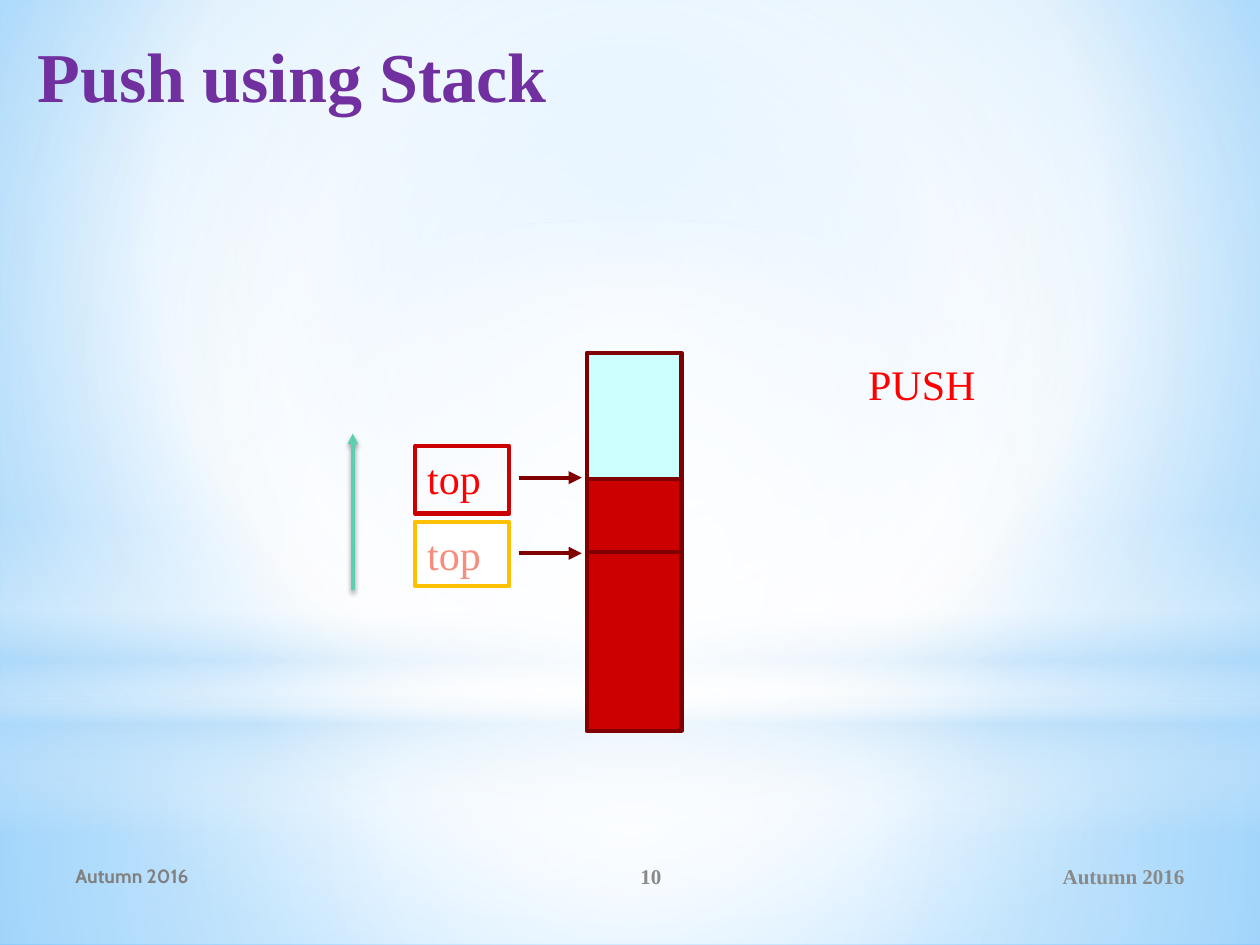
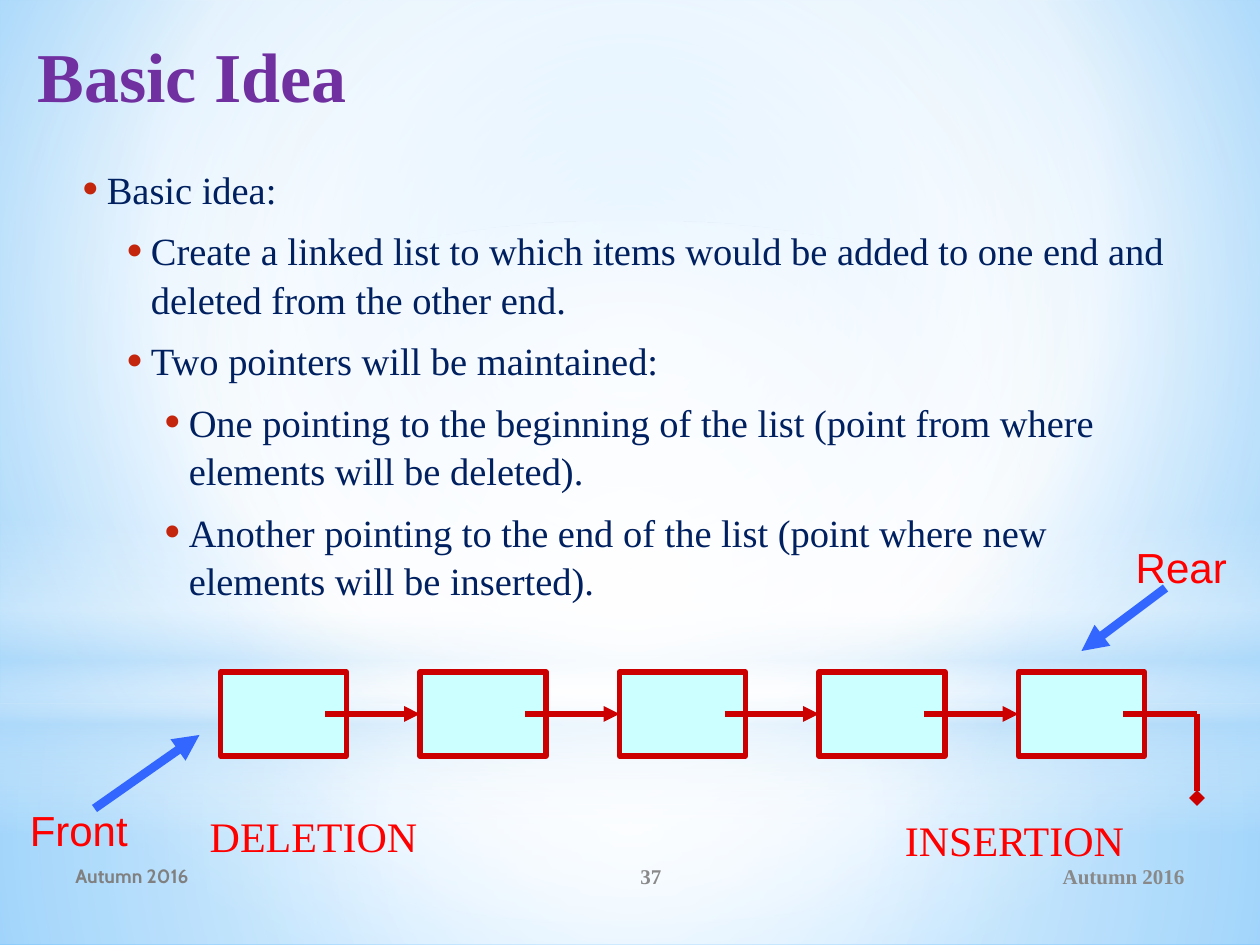
from dataclasses import dataclass
from typing import Any, NamedTuple, Optional

from lxml import etree
from pptx import Presentation
from pptx.dml.color import RGBColor
from pptx.enum.shapes import MSO_CONNECTOR, MSO_SHAPE
from pptx.enum.text import MSO_ANCHOR, PP_ALIGN
from pptx.oxml.ns import qn
from pptx.util import Pt

RECTANGLE = MSO_SHAPE.RECTANGLE
OVAL = MSO_SHAPE.OVAL
STRAIGHT = MSO_CONNECTOR.STRAIGHT
TOP, MIDDLE = MSO_ANCHOR.TOP, MSO_ANCHOR.MIDDLE
LEFT, CENTER, RIGHT = PP_ALIGN.LEFT, PP_ALIGN.CENTER, PP_ALIGN.RIGHT

EMU_PER_PX = 7620
SLIDE_WIDTH, SLIDE_HEIGHT = 1200, 900


class TextStyle(NamedTuple):
    font: str
    size: int
    color: str
    bold: bool = False


class Outline(NamedTuple):
    color: str
    width: float


class Stop(NamedTuple):
    position: int
    color: str
    opacity: int = 100


@dataclass(frozen=True)
class Theme:
    serif: str = "Times New Roman"
    red: str = "FF0000"
    cyan: str = "CCFFFF"
    crimson: str = "CC0000"
    white: str = "FFFFFF"
    sky: str = "B4DCFA"
    bullet: str = "C3260C"
    title: TextStyle = TextStyle(serif, 40, "7030A0", True)
    body: TextStyle = TextStyle(serif, 22, "002060")
    label: TextStyle = TextStyle(serif, 24, red)
    faded_label: TextStyle = TextStyle(serif, 24, "F78D7C")
    pointer_label: TextStyle = TextStyle("Arial", 24, red)
    footer: TextStyle = TextStyle(serif, 12, "898989", True)
    footer_left: TextStyle = TextStyle("Cabin", 11, "808080", True)
    stack_line: Outline = Outline("800000", 2.5)
    old_top_line: Outline = Outline("FFC000", 2.5)
    new_top_line: Outline = Outline(crimson, 2.5)
    growth_line: Outline = Outline("5DCEAF", 2)
    node_line: Outline = Outline(crimson, 3)
    pointer_line: Outline = Outline("3366FF", 5)


THEME = Theme()


class Area(NamedTuple):
    left: int
    top: int
    width: int
    height: int


class Point(NamedTuple):
    x: int
    y: int


class Band(NamedTuple):
    area: Area
    stops: list[Stop]
    preset: Any = RECTANGLE
    linear: bool = False


class Box(NamedTuple):
    area: Area
    fill: Optional[str]
    outline: Outline
    text: str = ""
    style: TextStyle = THEME.label


class Label(NamedTuple):
    area: Area
    text: str
    style: TextStyle = THEME.label
    align: Any = LEFT
    anchor: Any = TOP
    wrap: bool = True


class Line(NamedTuple):
    start: Point
    end: Point
    outline: Outline
    tail: str = "triangle"
    shadow: bool = False


class Bullet(NamedTuple):
    indent: int
    text: str


BACKGROUND = [Stop(0, "9ED5FF"), Stop(60, THEME.white), Stop(100, "5BB9FF")]
BANDS = [
    Band(Area(0, 670, 1200, 230),
         [Stop(0, THEME.white, 91), Stop(37, THEME.white, 76), Stop(100, THEME.sky, 79)]),
    Band(Area(0, 0, 1200, 670),
         [Stop(0, THEME.white, 89), Stop(48, THEME.white, 62), Stop(100, THEME.sky, 79)]),
    Band(Area(0, 494, 1200, 300),
         [Stop(0, THEME.white, 0), Stop(29, THEME.white, 30), Stop(45, THEME.sky, 40),
          Stop(55, THEME.white, 26), Stop(65, THEME.sky, 60), Stop(100, THEME.white, 0)],
         linear=True),
    Band(Area(0, 210, 1200, 670), [Stop(0, THEME.white), Stop(56, THEME.white, 0)], OVAL),
]
BULLETS = [
    Bullet(30, "Basic idea:"),
    Bullet(72, "Create a linked list to which items would be added to one end and deleted "
               "from the other end."),
    Bullet(72, "Two pointers will be maintained:"),
    Bullet(108, "One pointing to the beginning of the list (point from where elements will "
                "be deleted)."),
    Bullet(108, "Another pointing to the end of the list (point where new elements will be "
                "inserted)."),
]


def px(length: int) -> int:
    return length * EMU_PER_PX


def emu(lengths: tuple) -> list[int]:
    return [px(length) for length in lengths]


def set_attributes(target: Any, values: dict[str, Any]) -> None:
    for name, value in values.items():
        setattr(target, name, value)


def add_element(parent: Any, tag: str, **attributes: Any) -> Any:
    texts = {name: str(value) for name, value in attributes.items()}
    return etree.SubElement(parent, qn(tag), texts)


def fill_gradient(fill: Any, owner: Any, stops: list[Stop], focus: tuple, linear: bool) -> None:
    fill.gradient()
    gradient = next(owner.iter(qn("a:gradFill")))
    for child in list(gradient):
        gradient.remove(child)
    stop_list = add_element(gradient, "a:gsLst")
    for stop in stops:
        mark = add_element(stop_list, "a:gs", pos=stop.position * 1000)
        color = add_element(mark, "a:srgbClr", val=stop.color)
        add_element(color, "a:alpha", val=stop.opacity * 1000)
    if linear:
        add_element(gradient, "a:lin", ang=5400000, scaled=0)
    else:
        shading = add_element(gradient, "a:path", path="circle")
        sides = {side: percent * 1000 for side, percent in zip("ltrb", focus)}
        add_element(shading, "a:fillToRect", **sides)


def write_run(paragraph: Any, text: str, style: TextStyle) -> None:
    run = paragraph.add_run()
    run.text = text
    set_attributes(run.font, {"name": style.font, "size": Pt(style.size), "bold": style.bold})
    run.font.color.rgb = RGBColor.from_string(style.color)


def draw_band(slide: Any, band: Band) -> None:
    shape = slide.shapes.add_shape(band.preset, *emu(band.area))
    shape.shadow.inherit = False
    shape.line.fill.background()
    fill_gradient(shape.fill, shape.element.spPr, band.stops, (50, 50, 50, 50), band.linear)


def draw_box(slide: Any, box: Box) -> None:
    shape = slide.shapes.add_shape(RECTANGLE, *emu(box.area))
    shape.shadow.inherit = False
    if box.fill:
        shape.fill.solid()
        shape.fill.fore_color.rgb = RGBColor.from_string(box.fill)
    else:
        shape.fill.background()
    shape.line.color.rgb = RGBColor.from_string(box.outline.color)
    shape.line.width = Pt(box.outline.width)
    if box.text:
        set_attributes(shape.text_frame, {"vertical_anchor": TOP, "word_wrap": True})
        paragraph = shape.text_frame.paragraphs[0]
        paragraph.alignment = LEFT
        write_run(paragraph, box.text, box.style)


def draw_label(slide: Any, label: Label) -> None:
    frame = slide.shapes.add_textbox(*emu(label.area)).text_frame
    set_attributes(frame, {"word_wrap": label.wrap, "vertical_anchor": label.anchor})
    paragraph = frame.paragraphs[0]
    paragraph.alignment = label.align
    write_run(paragraph, label.text, label.style)


def draw_line(slide: Any, line: Line) -> None:
    connector = slide.shapes.add_connector(STRAIGHT, *emu(line.start + line.end))
    connector.line.color.rgb = RGBColor.from_string(line.outline.color)
    connector.line.width = Pt(line.outline.width)
    properties = connector.element.spPr
    add_element(properties.find(qn("a:ln")), "a:tailEnd", type=line.tail)
    effects = add_element(properties, "a:effectLst")
    if line.shadow:
        shadow = add_element(effects, "a:outerShdw", blurRad=Pt(3.1), dist=Pt(1.8),
                             dir=5400000, rotWithShape=0)
        add_element(add_element(shadow, "a:srgbClr", val="000000"), "a:alpha", val=45000)


def draw_bullets(slide: Any, area: Area, bullets: list[Bullet]) -> None:
    frame = slide.shapes.add_textbox(*emu(area)).text_frame
    frame.word_wrap = True
    for index, bullet in enumerate(bullets):
        paragraph = frame.add_paragraph() if index else frame.paragraphs[0]
        spacing = {"line_spacing": 1.05, "space_after": Pt(3)}
        if index:
            spacing["space_before"] = Pt(4.4)
        set_attributes(paragraph, spacing)
        properties = paragraph._p.get_or_add_pPr()
        properties.set("marL", str(px(bullet.indent)))
        properties.set("indent", str(px(-24)))
        add_element(add_element(properties, "a:buClr"), "a:srgbClr", val=THEME.bullet)
        add_element(properties, "a:buSzPct", val=130000)
        add_element(properties, "a:buFont", typeface=THEME.serif)
        add_element(properties, "a:buChar", char="•")
        write_run(paragraph, bullet.text, THEME.body)


def add_base_slide(presentation: Any, title: str, number: int) -> Any:
    slide = presentation.slides.add_slide(presentation.slide_layouts[6])
    for band in BANDS:
        draw_band(slide, band)
    term = "Autumn 2016"
    for label in (
        Label(Area(810, 810, 330, 48), term, THEME.footer, RIGHT, MIDDLE),
        Label(Area(60, 810, 440, 48), term, THEME.footer_left, LEFT, MIDDLE),
        Label(Area(500, 810, 240, 48), str(number), THEME.footer, CENTER, MIDDLE),
        Label(Area(24, 25, 1144, 150), title, THEME.title),
    ):
        draw_label(slide, label)
    return slide


def build_push_slide(presentation: Any) -> None:
    slide = add_base_slide(presentation, "Push using Stack", 10)
    for box in (
        Box(Area(559, 526, 90, 170), THEME.crimson, THEME.stack_line),
        Box(Area(559, 336, 90, 190), THEME.cyan, THEME.stack_line),
        Box(Area(559, 456, 90, 70), THEME.crimson, THEME.stack_line),
        Box(Area(395, 497, 90, 61), THEME.white, THEME.old_top_line, "top", THEME.faded_label),
        Box(Area(395, 425, 90, 64), None, THEME.new_top_line, "top"),
    ):
        draw_box(slide, box)
    for level in (527, 455):
        draw_line(slide, Line(Point(494, level), Point(554, level), THEME.stack_line))
    draw_line(slide, Line(Point(336, 562), Point(336, 413), THEME.growth_line, shadow=True))
    draw_label(slide, Label(Area(815, 336, 131, 60), "PUSH", wrap=False))


def build_queue_slide(presentation: Any) -> None:
    slide = add_base_slide(presentation, "Basic Idea", 37)
    draw_bullets(slide, Area(60, 150, 1080, 594), BULLETS)
    node_count, first_left, pitch, link_level = 5, 210, 190, 680
    lefts = [first_left + pitch * index for index in range(node_count)]
    for left in lefts:
        draw_box(slide, Box(Area(left, 640, 120, 80), THEME.cyan, THEME.node_line))
    for left in lefts[:-1]:
        draw_line(slide, Line(Point(left + 100, link_level), Point(left + pitch, link_level),
                              THEME.node_line))
    corner = Point(1140, link_level)
    for line in (
        Line(Point(lefts[-1] + 100, link_level), corner, THEME.node_line, "none"),
        Line(corner, Point(1140, 760), THEME.node_line, "diamond"),
        Line(Point(90, 770), Point(190, 700), THEME.pointer_line),
        Line(Point(1110, 560), Point(1030, 620), THEME.pointer_line),
    ):
        draw_line(slide, line)
    for label in (
        Label(Area(0, 760, 150, 60), "Front", THEME.pointer_label, CENTER),
        Label(Area(1050, 510, 150, 60), "Rear", THEME.pointer_label, CENTER),
        Label(Area(188, 766, 235, 60), "DELETION", wrap=False),
        Label(Area(850, 770, 248, 60), "INSERTION", wrap=False),
    ):
        draw_label(slide, label)


def main() -> None:
    presentation = Presentation()
    set_attributes(presentation, {"slide_width": px(SLIDE_WIDTH),
                                  "slide_height": px(SLIDE_HEIGHT)})
    master = presentation.slide_master
    fill_gradient(master.background.fill, master.element, BACKGROUND, (20, 10, 20, 60), False)
    build_push_slide(presentation)
    build_queue_slide(presentation)
    presentation.save("out.pptx")


if __name__ == "__main__":
    main()
